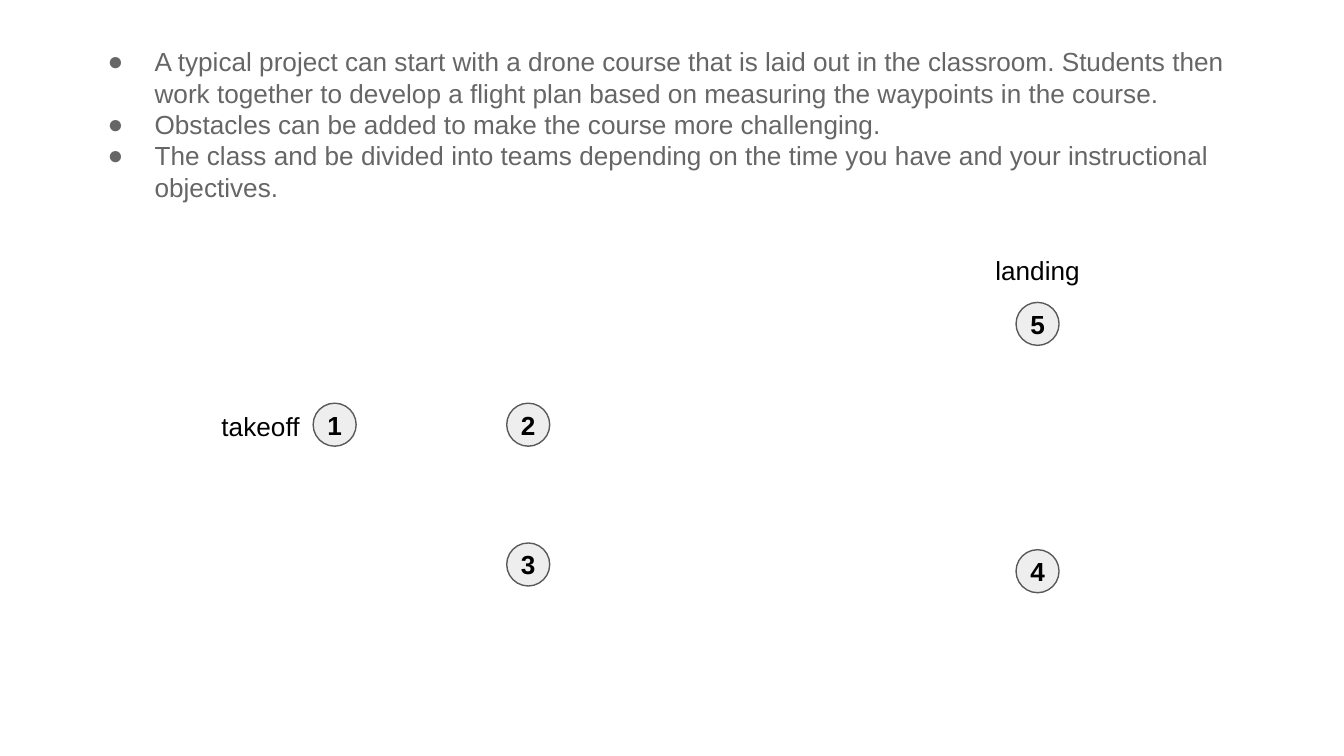
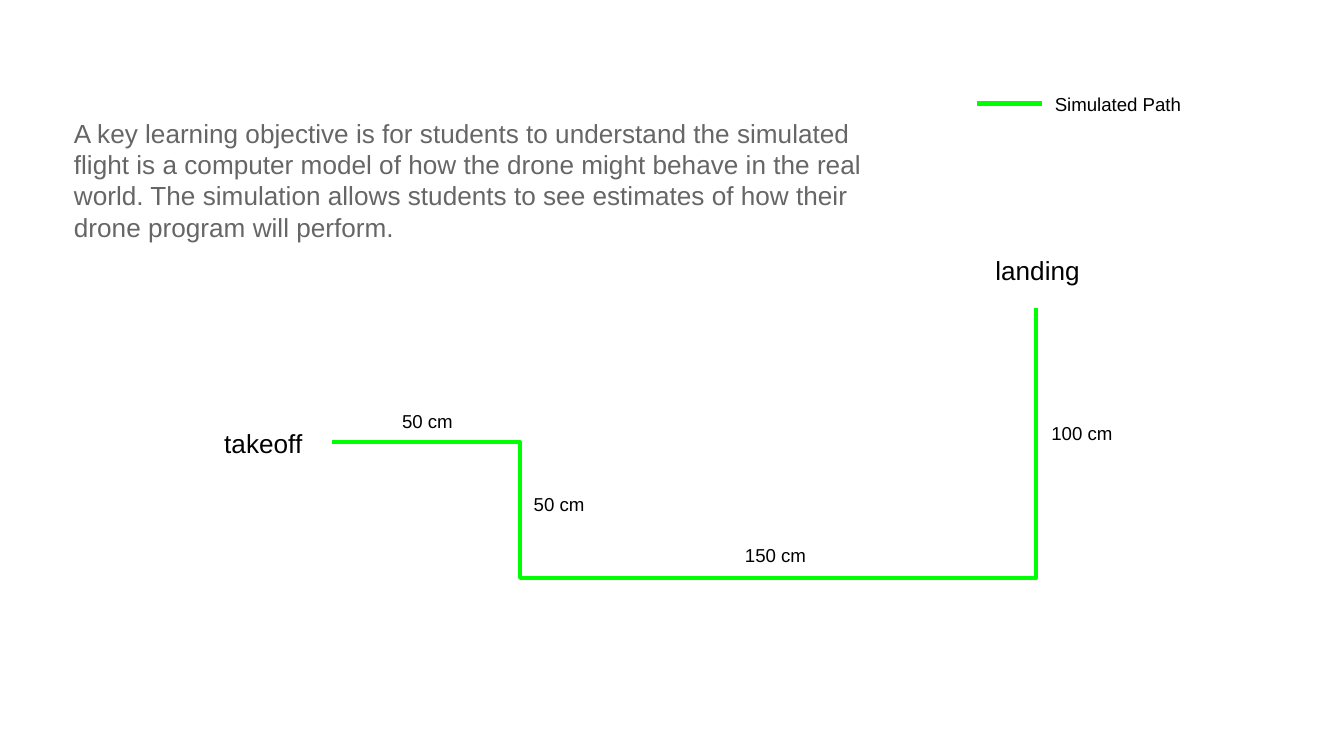
from lxml import etree
from pptx import Presentation
from pptx import util as u
from pptx.dml.color import RGBColor
from pptx.enum import shapes, text
from pptx.oxml import ns

COLORS = {"body": "666666", "label": "000000", "waypoint": "EEEEEE",
          "outline": "595959", "route": "00FF00"}
FONT = "Arial"
BODY_SIZE, SMALL_SIZE = 14, 10
LABEL_SIZE = (0.9, 0.42)
WAYPOINT_SIZE = 0.32
LEFT, CENTER = text.PP_ALIGN.LEFT, text.PP_ALIGN.CENTER


class CourseDeck:
    """Draws the drone course slides in one shared style."""

    def __init__(self):
        self.presentation = Presentation()
        self.presentation.slide_width = u.Inches(10)
        self.presentation.slide_height = u.Inches(10 * 9 / 16)
        self.slide = None

    def add_slide(self):
        layout = self.presentation.slide_layouts[1]
        self.slide = self.presentation.slides.add_slide(layout)
        title = self.slide.shapes.title.element
        title.getparent().remove(title)

    def color(self, name):
        return RGBColor.from_string(COLORS[name])

    def set_frame(self, shape, inset=0.1, wrap=True, anchor=text.MSO_ANCHOR.TOP):
        values = {"margin_left": u.Inches(inset), "margin_right": u.Inches(inset),
                  "margin_top": u.Inches(inset), "margin_bottom": u.Inches(inset),
                  "word_wrap": wrap, "vertical_anchor": anchor,
                  "auto_size": text.MSO_AUTO_SIZE.NONE}
        for name, value in values.items():
            setattr(shape.text_frame, name, value)

    def set_paragraph(self, paragraph, color="label", size=BODY_SIZE,
                      bold=False, align=LEFT):
        for name, value in {"alignment": align, "space_before": u.Pt(0),
                            "space_after": u.Pt(0), "line_spacing": 1.0}.items():
            setattr(paragraph, name, value)
        for name, value in {"name": FONT, "size": u.Pt(size), "bold": bold}.items():
            setattr(paragraph.font, name, value)
        paragraph.font.color.rgb = self.color(color)

    def set_bullet(self, paragraph, bulleted):
        properties = paragraph._p.get_or_add_pPr()
        properties.set("marL", str(u.Inches(0.5 if bulleted else 0)))
        properties.set("indent", str(u.Inches(-0.35 if bulleted else 0)))
        if bulleted:
            bullet_color = etree.SubElement(properties, ns.qn("a:buClr"))
            etree.SubElement(bullet_color, ns.qn("a:srgbClr"), val=COLORS["body"])
            etree.SubElement(properties, ns.qn("a:buChar"), char="●")
        else:
            etree.SubElement(properties, ns.qn("a:buNone"))

    def body(self, left, top, width, height, lines, bulleted=False):
        shape = self.slide.placeholders[1]
        for name, value in {"left": left, "top": top,
                            "width": width, "height": height}.items():
            setattr(shape, name, u.Inches(value))
        self.set_frame(shape)
        shape.text_frame.text = "\n".join(lines)
        for paragraph in shape.text_frame.paragraphs:
            self.set_bullet(paragraph, bulleted)
            self.set_paragraph(paragraph, "body")

    def label(self, left, top, words, size=BODY_SIZE, align=CENTER,
              width=LABEL_SIZE[0]):
        shape = self.slide.shapes.add_textbox(
            *map(u.Inches, (left, top, width, LABEL_SIZE[1])))
        self.set_frame(shape)
        shape.text_frame.text = words
        self.set_paragraph(shape.text_frame.paragraphs[0], size=size, align=align)

    def waypoint(self, left, top, number):
        shape = self.slide.shapes.add_shape(
            shapes.MSO_SHAPE.OVAL,
            *map(u.Inches, (left, top, WAYPOINT_SIZE, WAYPOINT_SIZE)))
        shape.shadow.inherit = False
        shape.fill.solid()
        shape.fill.fore_color.rgb = self.color("waypoint")
        self.set_line(shape, "outline", 0.75)
        self.set_frame(shape, inset=0, wrap=False, anchor=text.MSO_ANCHOR.MIDDLE)
        shape.text_frame.text = str(number)
        self.set_paragraph(shape.text_frame.paragraphs[0], bold=True, align=CENTER)

    def set_line(self, shape, color="route", width=2.25):
        shape.line.color.rgb = self.color(color)
        shape.line.width = u.Pt(width)

    def route(self, points):
        corners = [(u.Inches(x), u.Inches(y)) for x, y in points]
        builder = self.slide.shapes.build_freeform(*corners[0])
        builder.add_line_segments(corners[1:], close=False)
        shape = builder.convert_to_shape()
        shape.shadow.inherit = False
        shape.fill.background()
        self.set_line(shape)

    def legend_line(self, start_x, end_x, y):
        line = self.slide.shapes.add_connector(
            shapes.MSO_CONNECTOR.STRAIGHT,
            *map(u.Inches, (start_x, y, end_x, y)))
        self.set_line(line)
        etree.SubElement(line._element.spPr, ns.qn("a:effectLst"))

    def endpoints(self, takeoff_left, takeoff_top):
        self.label(takeoff_left, takeoff_top, "takeoff", align=LEFT)
        self.label(7.27, 1.79, "landing")


def main():
    deck = CourseDeck()

    deck.add_slide()
    deck.body(0.55, 0.24, 8.67, 1.82, [
        "A typical project can start with a drone course that is laid out in the "
        "classroom. Students then work together to develop a flight plan based on "
        "measuring the waypoints in the course.",
        "Obstacles can be added to make the course more challenging.",
        "The class and be divided into teams depending on the time you have and "
        "your instructional objectives.",
    ], bulleted=True)
    deck.endpoints(1.55, 2.95)
    waypoints = [(2.33, 3), (3.77, 3), (3.77, 4.04), (7.56, 4.09), (7.56, 2.25)]
    for number, (left, top) in enumerate(waypoints, 1):
        deck.waypoint(left, top, number)

    deck.add_slide()
    deck.body(0.45, 0.77, 6.08, 0.82, [
        "A key learning objective is for students to understand the simulated "
        "flight is a computer model of how the drone might behave in the real "
        "world. The simulation allows students to see estimates of how their "
        "drone program will perform.",
    ])
    deck.route([(2.47, 3.29), (3.87, 3.29), (3.87, 4.3), (7.71, 4.3), (7.71, 2.29)])
    deck.endpoints(1.57, 3.08)
    distances = [(2.73, 2.95, 50), (3.71, 3.57, 50), (5.32, 3.95, 150),
                 (7.6, 3.04, 100)]
    for left, top, distance in distances:
        deck.label(left, top, f"{distance} cm", SMALL_SIZE)
    deck.legend_line(7.27, 7.75, 0.77)
    deck.label(7.75, 0.59, "Simulated Path", SMALL_SIZE, LEFT, width=1.37)

    deck.presentation.save("out.pptx")


if __name__ == "__main__":
    main()
